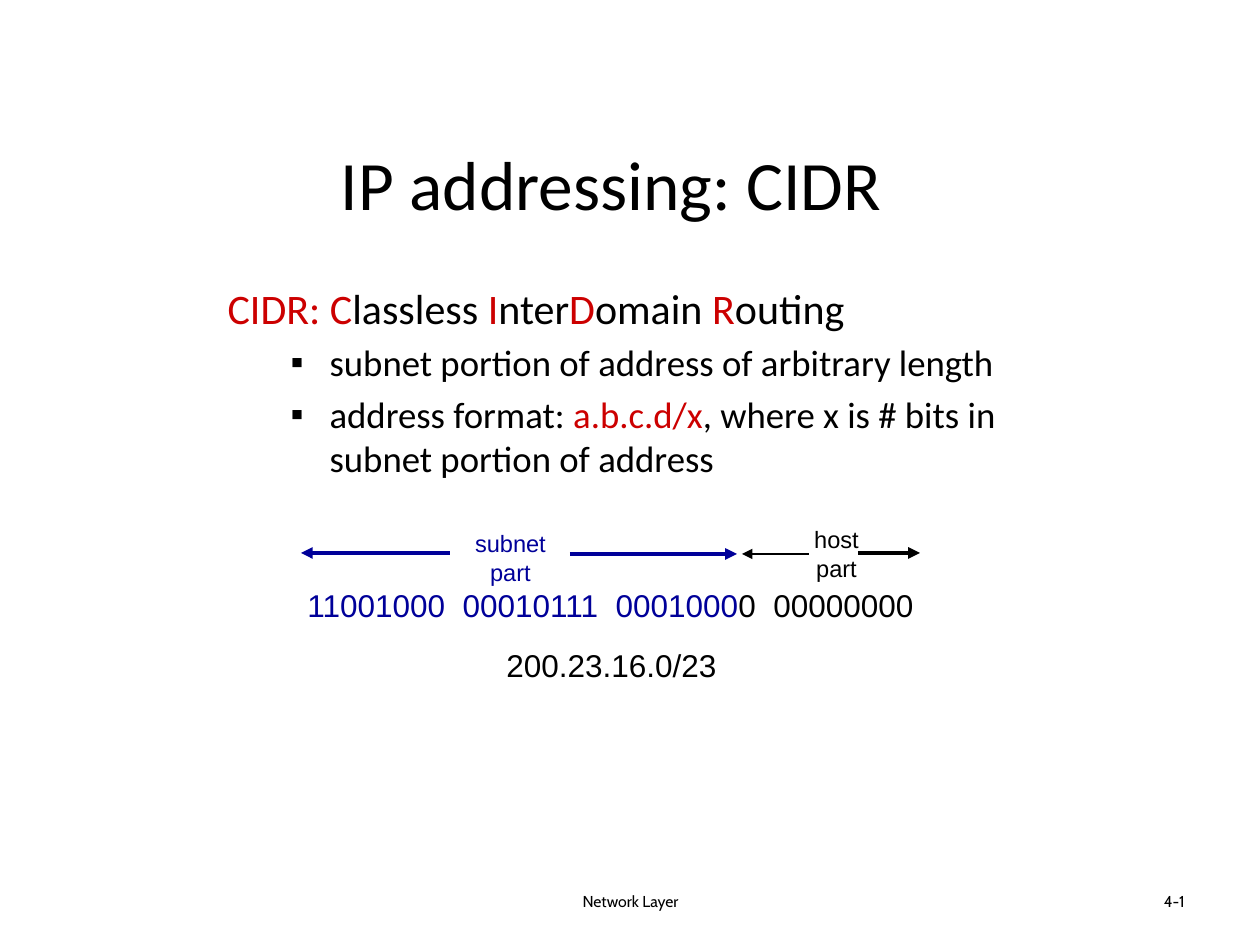
import pptx
import pptx.dml.color
import pptx.enum.shapes
import pptx.enum.text
import pptx.oxml
import pptx.oxml.ns
import pptx.util

COLORS = {"black": "000000", "red": "CC0000", "blue": "000099"}
ALIGN = pptx.enum.text.PP_ALIGN
ANCHOR = pptx.enum.text.MSO_ANCHOR


def px(length):
    return pptx.util.Emu(round(length * 914400 / 126))


def rgb(color):
    return pptx.dml.color.RGBColor.from_string(COLORS[color])


def add_xml(parent, tag, content=""):
    namespace = pptx.oxml.ns.nsdecls("a")
    parent.append(pptx.oxml.parse_xml(f"<a:{tag} {namespace}{content}"))


class SlideBuilder:
    """Hold the slide and its style, and add each kind of element."""

    def __init__(self, deck):
        self.slide = deck.slides.add_slide(deck.slide_layouts[1])
        self.heading_font = "Calibri"
        self.diagram_font = "Arial"
        self.footer_font = "Cabin"

    def prepare(self, shape, box, anchor):
        shape.left, shape.top, shape.width, shape.height = map(px, box)
        frame = shape.text_frame
        frame.word_wrap = True
        frame.auto_size = pptx.enum.text.MSO_AUTO_SIZE.NONE
        frame.vertical_anchor = anchor
        return frame

    def fill_paragraph(self, paragraph, pieces, font, size, align):
        paragraph.alignment = align
        paragraph.font.name = font
        paragraph.font.size = pptx.util.Pt(size)
        if len(pieces) == 1:
            paragraph.font.color.rgb = rgb(pieces[0][1])
        for words, color in pieces:
            run = paragraph.add_run()
            run.text = words
            if len(pieces) > 1:
                run.font.color.rgb = rgb(color)

    def title(self, words, box):
        frame = self.prepare(self.slide.shapes.title, box, ANCHOR.MIDDLE)
        self.fill_paragraph(frame.paragraphs[0], [(words, "black")],
                            self.heading_font, 39.6, ALIGN.CENTER)

    def body(self, lead, bullets, box):
        frame = self.prepare(self.slide.placeholders[1], box, ANCHOR.TOP)
        for number, pieces in enumerate([lead] + bullets):
            paragraph = frame.add_paragraph() if number else frame.paragraphs[0]
            properties = paragraph._p.get_or_add_pPr()
            paragraph.level = 1 if number else 0
            paragraph.space_before = pptx.util.Pt(4.2 if number else 0)
            margin, indent = (102, -39) if number else (48, -48)
            properties.set("marL", str(px(margin)))
            properties.set("indent", str(px(indent)))
            if number:
                add_xml(properties, "buClr",
                        f'><a:srgbClr val="{COLORS["black"]}"/></a:buClr>')
                add_xml(properties, "buFont", ' typeface="Arial"/>')
                add_xml(properties, "buChar", ' char="▪"/>')
            else:
                add_xml(properties, "buNone", "/>")
            self.fill_paragraph(paragraph, pieces, self.heading_font,
                                21 if number else 24, ALIGN.LEFT)

    def text(self, lines, box, font, size, align=ALIGN.LEFT, anchor=ANCHOR.TOP):
        shape = self.slide.shapes.add_textbox(*map(px, box))
        frame = self.prepare(shape, box, anchor)
        for number, pieces in enumerate(lines):
            paragraph = frame.add_paragraph() if number else frame.paragraphs[0]
            self.fill_paragraph(paragraph, pieces, font, size, align)

    def footer(self, words, box, align):
        self.text([[(words, "black")]], box, self.footer_font, 9, align, ANCHOR.MIDDLE)

    def label(self, words, color, box):
        self.text([[(word, color)] for word in words], box,
                  self.diagram_font, 13.5, ALIGN.CENTER)

    def address(self, pieces, box):
        self.text([pieces], box, self.diagram_font, 18)

    def arrow(self, start, end, y, color, width=2.25):
        line = self.slide.shapes.add_connector(
            pptx.enum.shapes.MSO_CONNECTOR.STRAIGHT, px(start), px(y), px(end), px(y))
        line.line.color.rgb = rgb(color)
        line.line.width = pptx.util.Pt(width)
        add_xml(line.line._get_or_add_ln(), "tailEnd", ' type="triangle"/>')
        add_xml(line._element.spPr, "effectLst", "/>")


def main():
    deck = pptx.Presentation()
    deck.slide_width, deck.slide_height = px(1260), px(945)
    builder = SlideBuilder(deck)

    builder.title("IP addressing: CIDR", (209, 139, 804, 88))
    lead = [("CIDR: C", "red"), ("lassless ", "black"), ("I", "red"), ("nter", "black"),
            ("D", "red"), ("omain ", "black"), ("R", "red"), ("outing", "black")]
    bullets = [
        [("subnet portion of address of arbitrary length", "black")],
        [("address format: ", "black"), ("a.b.c.d/x", "red"),
         (", where x is # bits in subnet portion of address", "black")],
    ]
    builder.body(lead, bullets, (215, 276, 838, 328))

    builder.address([("11001000  00010111  0001000", "blue"), ("0  00000000", "black")],
                    (295, 580, 636, 50))
    builder.address([("200.23.16.0/23", "black")], (494, 640, 237, 50))
    builder.label(["subnet", "part"], "blue", (460, 523, 101, 71))
    builder.label(["host", "part"], "black", (799, 519, 75, 71))
    builder.arrow(450, 301, 553, "blue")
    builder.arrow(570, 737, 554, "blue")
    builder.arrow(809, 742, 554, "black", 1.5)
    builder.arrow(858, 920, 553, "black")

    builder.footer("Network Layer", (431, 876, 399, 50), ALIGN.CENTER)
    builder.footer("4-1", (903, 876, 294, 50), ALIGN.RIGHT)
    deck.save("out.pptx")


if __name__ == "__main__":
    main()
